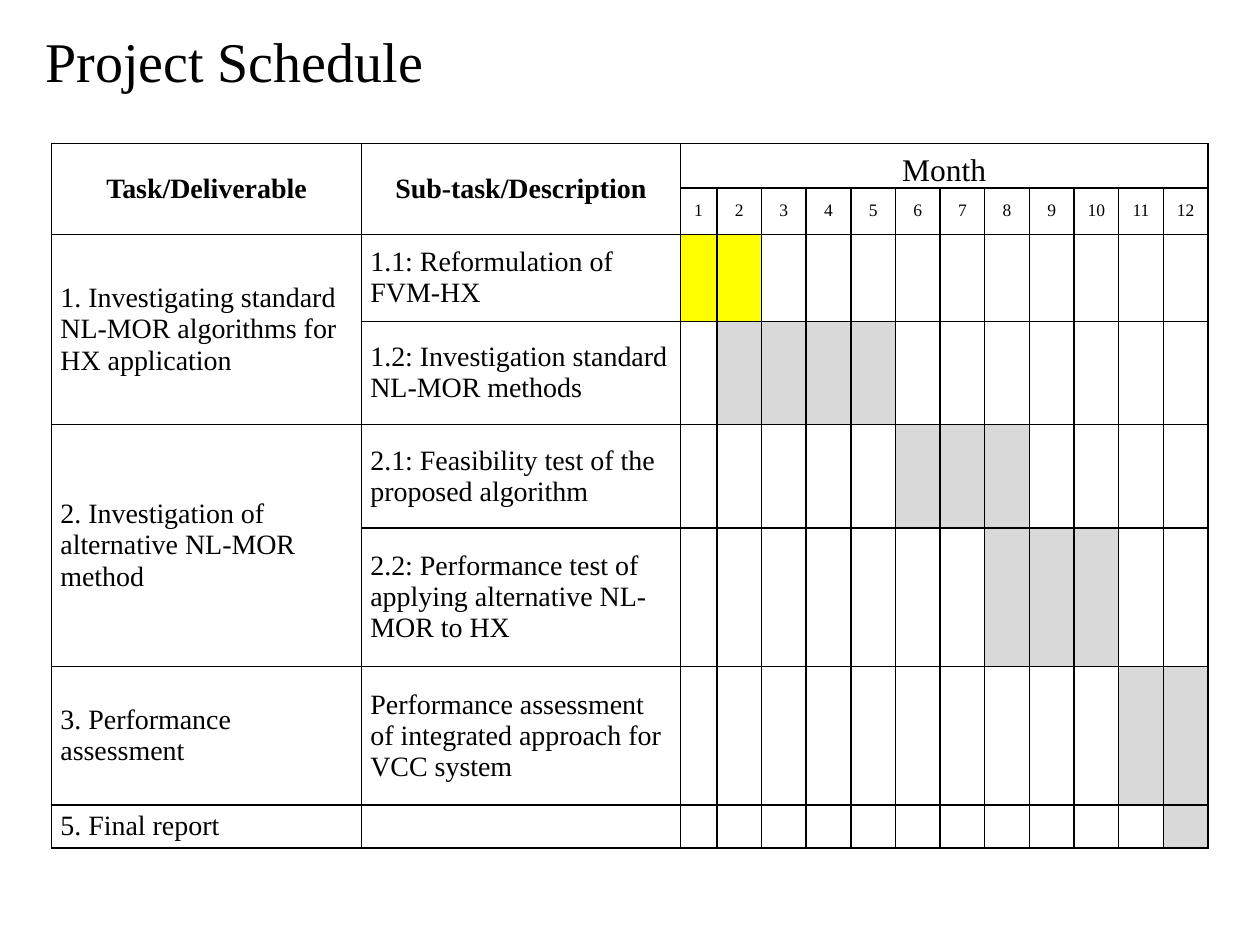
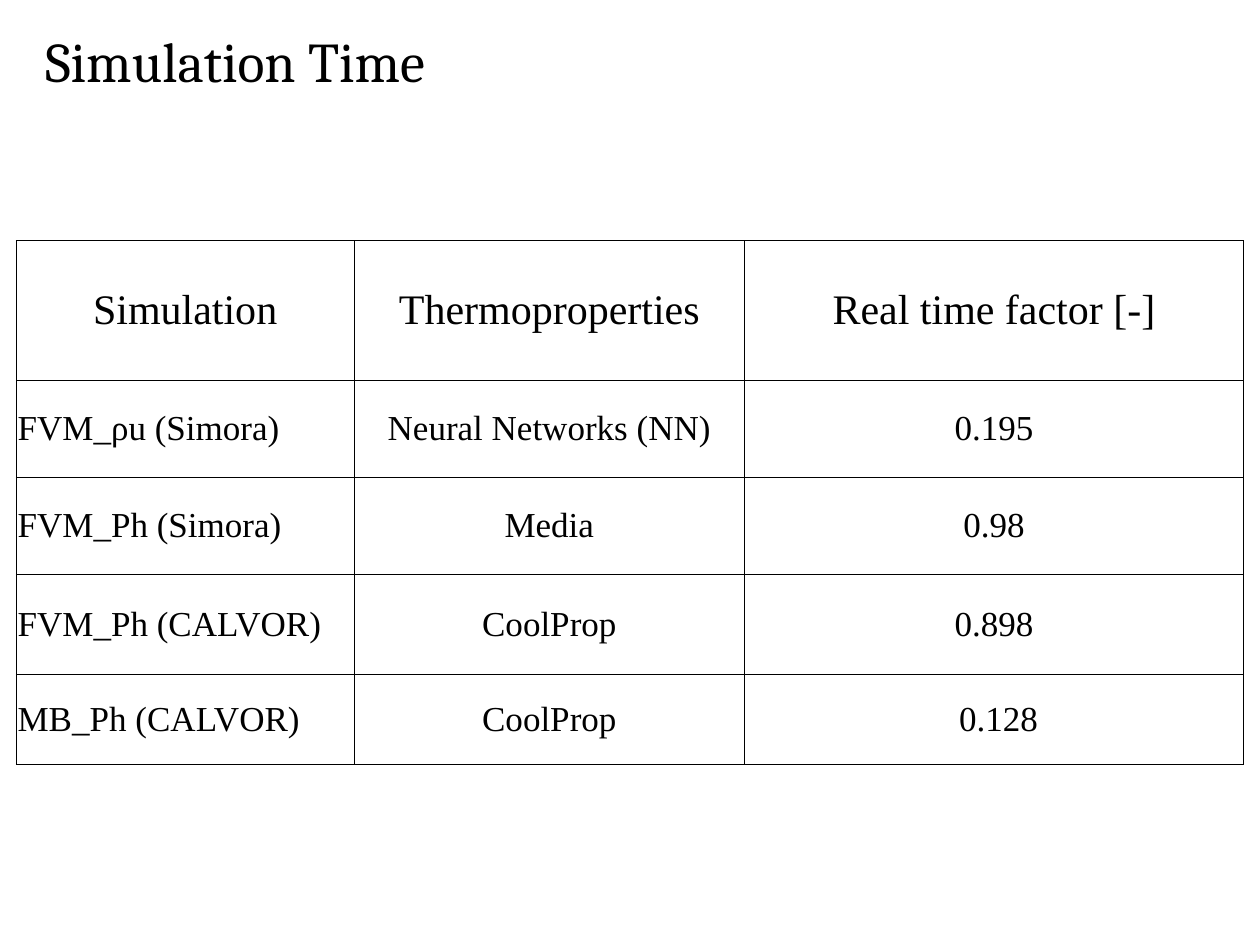
"""Build two slides: a twelve-month project schedule and a simulation time comparison."""

from collections.abc import Sequence
from dataclasses import dataclass
from typing import Any, NamedTuple

from lxml.etree import SubElement
from pptx import Presentation
from pptx.dml.color import RGBColor
from pptx.enum.text import MSO_ANCHOR, MSO_AUTO_SIZE, PP_ALIGN
from pptx.oxml.ns import qn
from pptx.slide import Slide
from pptx.table import Table, _Cell
from pptx.util import Inches, Pt


@dataclass(frozen=True)
class Theme:
    ink: str = "000000"
    done: str = "FFFF00"
    planned: str = "D9D9D9"
    body_font: str = "Times New Roman"
    alternate_font: str = "Cambria"
    title_size: int = 32
    header_size: int = 24
    result_size: int = 20
    month_size: int = 18
    task_size: int = 16
    number_size: int = 10


THEME = Theme()


class Grid(NamedTuple):
    left: float
    top: float
    columns: Sequence[float]
    rows: Sequence[float]
    border: float
    side_inset: float


class Entry(NamedTuple):
    text: str
    size: int
    align: PP_ALIGN = PP_ALIGN.LEFT
    bold: bool = False
    anchor: MSO_ANCHOR = MSO_ANCHOR.MIDDLE


class Activity(NamedTuple):
    task: str
    description: str
    start: int
    end: int
    height: float
    color: str = THEME.planned
    task_rows: int = 1


class Result(NamedTuple):
    simulation: str
    thermoproperties: str
    real_time_factor: str
    height: float


MONTHS = 12
LABEL_COLUMNS = 2
HEADER_ROWS = 2
SCHEDULE_WIDTH = 9.18
LEADING_COLUMNS = [2.46, 2.53, 0.29]

ACTIVITIES = [
    Activity("1. Investigating standard NL-MOR algorithms for HX application",
             "1.1: Reformulation of FVM-HX", 1, 2, 0.69, THEME.done, 2),
    Activity("", "1.2: Investigation standard NL-MOR methods", 2, 5, 0.82),
    Activity("2. Investigation of alternative NL-MOR method",
             "2.1: Feasibility test of the proposed algorithm", 6, 8, 0.82, task_rows=2),
    Activity("", "2.2: Performance test of applying alternative NL-MOR to HX", 8, 10, 1.1),
    Activity("3. Performance assessment",
             "Performance assessment of integrated approach for VCC system", 11, 12, 1.1),
    Activity("5. Final report", "", 12, 12, 0.34),
]

RESULT_HEADINGS = ["Simulation", "Thermoproperties", "Real time factor [-]"]
RESULTS = [
    Result("FVM_ρu (Simora)", "Neural Networks (NN)", "0.195", 0.77),
    Result("FVM_Ph (Simora)", "Media", "0.98", 0.77),
    Result("FVM_Ph (CALVOR)", "CoolProp", "0.898", 0.79),
    Result("MB_Ph (CALVOR)", "CoolProp", " 0.128", 0.72),
]


def apply_format(target: Any, values: dict[str, Any]) -> None:
    for attribute, value in values.items():
        setattr(target, attribute, value)


def format_font(font: Any, family: str, size: int, bold: bool = False) -> None:
    apply_format(font, {"name": family, "size": Pt(size), "bold": bold})
    font.color.rgb = RGBColor.from_string(THEME.ink)


def add_titled_slide(deck: Any, heading: str, family: str) -> Slide:
    slide = deck.slides.add_slide(deck.slide_layouts[5])
    title = slide.shapes.title
    apply_format(title, {"left": Inches(0.26), "top": Inches(0.18),
                         "width": Inches(9.49), "height": Inches(0.66)})
    apply_format(title.text_frame, {"text": heading, "word_wrap": True,
                                    "auto_size": MSO_AUTO_SIZE.NONE,
                                    "vertical_anchor": MSO_ANCHOR.MIDDLE})
    line = title.text_frame.paragraphs[0]
    apply_format(line, {"alignment": PP_ALIGN.LEFT, "line_spacing": 0.9})
    format_font(line.runs[0].font, family, THEME.title_size)
    return slide


def draw_borders(cell: _Cell, width: float) -> None:
    properties = cell._tc.get_or_add_tcPr()
    for side in ("lnL", "lnR", "lnT", "lnB"):
        edge = SubElement(properties, qn(f"a:{side}"), w=str(Pt(width)))
        SubElement(SubElement(edge, qn("a:solidFill")), qn("a:srgbClr"), val=THEME.ink)


def add_grid(slide: Slide, grid: Grid) -> Table:
    table = slide.shapes.add_table(
        len(grid.rows), len(grid.columns), Inches(grid.left), Inches(grid.top),
        Inches(sum(grid.columns)), Inches(sum(grid.rows))).table
    apply_format(table, {"first_row": False, "horz_banding": False})
    for column, width in zip(table.columns, grid.columns):
        column.width = Inches(width)
    for row, height in zip(table.rows, grid.rows):
        row.height = Inches(height)
    for cell in table.iter_cells():
        inset = Inches(grid.side_inset)
        apply_format(cell, {"margin_left": inset, "margin_right": inset,
                            "margin_top": 0, "margin_bottom": 0})
        draw_borders(cell, grid.border)
        cell.fill.background()
    return table


def write_entry(cell: _Cell, entry: Entry) -> None:
    if not entry.text:
        return
    apply_format(cell, {"text": entry.text, "vertical_anchor": entry.anchor})
    paragraph = cell.text_frame.paragraphs[0]
    paragraph.alignment = entry.align
    format_font(paragraph.runs[0].font, THEME.body_font, entry.size, entry.bold)


def build_schedule(deck: Any) -> None:
    slide = add_titled_slide(deck, "Project Schedule", THEME.body_font)
    month_width = (SCHEDULE_WIDTH - sum(LEADING_COLUMNS)) / (MONTHS - 1)
    schedule = add_grid(slide, Grid(
        0.41, 1.14, LEADING_COLUMNS + [month_width] * (MONTHS - 1),
        [0.35, 0.37] + [activity.height for activity in ACTIVITIES], 1, 0.07))

    for column, heading in enumerate(["Task/Deliverable", "Sub-task/Description"]):
        schedule.cell(0, column).merge(schedule.cell(HEADER_ROWS - 1, column))
        write_entry(schedule.cell(0, column),
                    Entry(heading, THEME.task_size, PP_ALIGN.CENTER, bold=True))
    schedule.cell(0, LABEL_COLUMNS).merge(schedule.cell(0, LABEL_COLUMNS + MONTHS - 1))
    write_entry(schedule.cell(0, LABEL_COLUMNS),
                Entry("Month", THEME.month_size, PP_ALIGN.CENTER, anchor=MSO_ANCHOR.BOTTOM))
    for month in range(1, MONTHS + 1):
        write_entry(schedule.cell(1, LABEL_COLUMNS + month - 1),
                    Entry(str(month), THEME.number_size, PP_ALIGN.CENTER))

    for row, activity in enumerate(ACTIVITIES, HEADER_ROWS):
        if activity.task_rows > 1:
            schedule.cell(row, 0).merge(schedule.cell(row + activity.task_rows - 1, 0))
        for column, label in enumerate((activity.task, activity.description)):
            write_entry(schedule.cell(row, column), Entry(label, THEME.task_size))
        for month in range(activity.start, activity.end + 1):
            period = schedule.cell(row, LABEL_COLUMNS + month - 1)
            period.fill.solid()
            period.fill.fore_color.rgb = RGBColor.from_string(activity.color)


def build_simulation_time(deck: Any) -> None:
    slide = add_titled_slide(deck, "Simulation Time", THEME.alternate_font)
    comparison = add_grid(slide, Grid(
        0.13, 1.91, [2.68, 3.1, 3.96],
        [1.11] + [result.height for result in RESULTS], 0.5, 0.01))
    for column, heading in enumerate(RESULT_HEADINGS):
        write_entry(comparison.cell(0, column),
                    Entry(heading, THEME.header_size, PP_ALIGN.CENTER))
    for row, result in enumerate(RESULTS, 1):
        values = (result.simulation, result.thermoproperties, result.real_time_factor)
        for column, value in enumerate(values):
            align = PP_ALIGN.CENTER if column else PP_ALIGN.LEFT
            write_entry(comparison.cell(row, column), Entry(value, THEME.result_size, align))


def main() -> None:
    deck = Presentation()
    apply_format(deck, {"slide_width": Inches(10), "slide_height": Inches(7.5)})
    build_schedule(deck)
    build_simulation_time(deck)
    deck.save("out.pptx")


if __name__ == "__main__":
    main()
